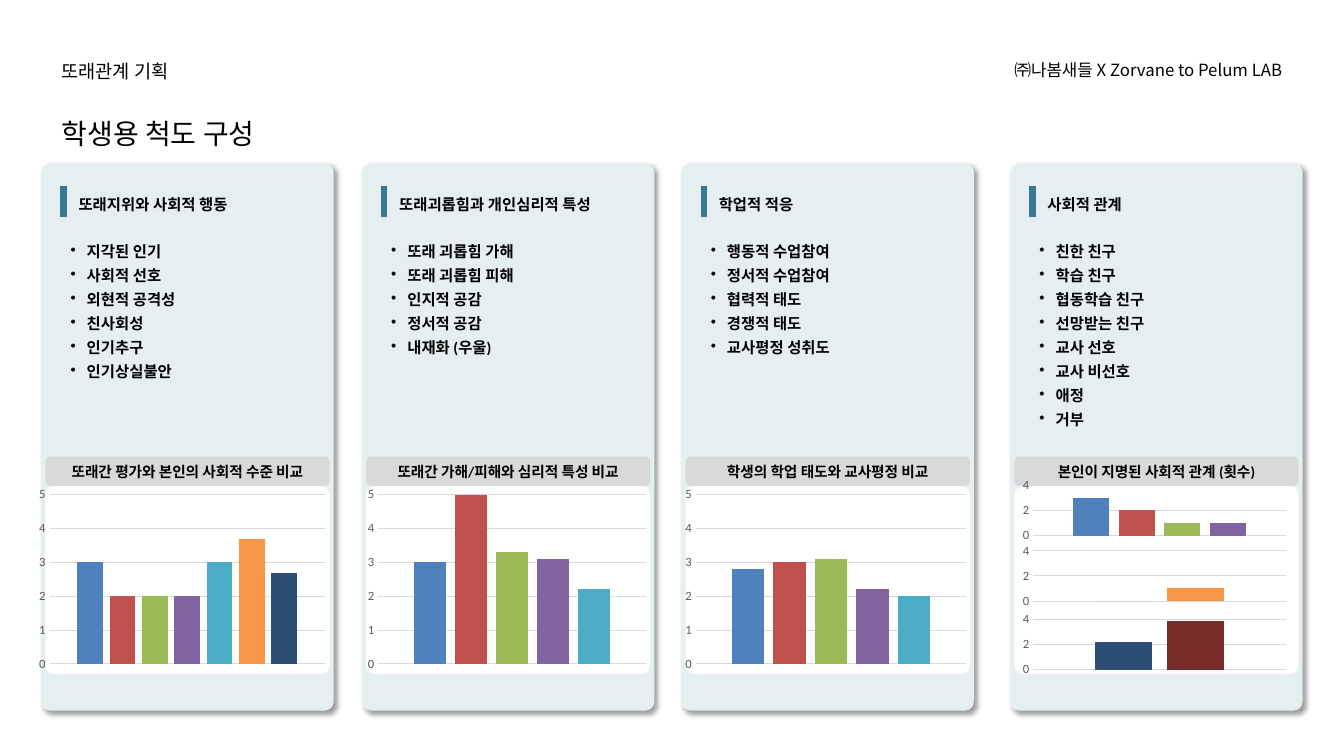
from dataclasses import dataclass
from typing import Optional

from lxml import etree
from pptx import Presentation
from pptx.chart.data import CategoryChartData
from pptx.dml.color import RGBColor
from pptx.enum.chart import XL_CHART_TYPE, XL_TICK_MARK
from pptx.enum.shapes import MSO_CONNECTOR, MSO_SHAPE
from pptx.enum.text import MSO_ANCHOR, MSO_AUTO_SIZE, PP_ALIGN
from pptx.oxml import parse_xml
from pptx.oxml.ns import nsdecls, qn
from pptx.util import Emu, Pt

PX = 9144  # 100 px to the inch
LATIN, KOREAN = "Calibri", "Noto Sans CJK KR"
COLORS = {
    "text": "000000", "card": "E5EEF1", "accent": "387895", "banner": "D9D9D9",
    "white": "FFFFFF", "grid": "D9D9D9", "axis": "595959",
    "blue": "4F81BD", "red": "C0504D", "green": "9BBB59", "purple": "8064A2",
    "teal": "4BACC6", "orange": "F79646", "navy": "2C4D75", "maroon": "772C2A",
}
PALETTE = ["blue", "red", "green", "purple", "teal", "orange", "navy", "maroon"]
SMALL_PLOT = {"x": 0.105, "y": 0.09, "w": 0.851, "h": 0.768}


@dataclass
class Box:
    x: int
    y: int
    w: int
    h: int

    def emu(self) -> list[Emu]:
        return [Emu(v * PX) for v in (self.x, self.y, self.w, self.h)]


@dataclass
class BarChart:
    box: Box
    values: list[float]
    first_color: int = 0
    plot: Optional[dict[str, float]] = None


@dataclass
class Card:
    x: int
    title: str
    items: list[str]
    banner: str
    charts: list[BarChart]


CARDS = [
    Card(41, "또래지위와 사회적 행동",
         ["지각된 인기", "사회적 선호", "외현적 공격성", "친사회성", "인기추구", "인기상실불안"],
         "또래간 평가와 본인의 사회적 수준 비교",
         [BarChart(Box(33, 470, 295, 200), [3, 2, 2, 2, 3, 3.7, 2.7])]),
    Card(359, "또래괴롭힘과 개인심리적 특성",
         ["또래 괴롭힘 가해", "또래 괴롭힘 피해", "인지적 공감", "정서적 공감", "내재화 (우울)"],
         "또래간 가해/피해와 심리적 특성 비교",
         [BarChart(Box(359, 470, 287, 200), [3, 5, 3.3, 3.1, 2.2])]),
    Card(676, "학업적 적응",
         ["행동적 수업참여", "정서적 수업참여", "협력적 태도", "경쟁적 태도", "교사평정 성취도"],
         "학생의 학업 태도와 교사평정 비교",
         [BarChart(Box(674, 470, 290, 200), [2.8, 3, 3.1, 2.2, 2])]),
    Card(1002, "사회적 관계",
         ["친한 친구", "학습 친구", "협동학습 친구", "선망받는 친구",
          "교사 선호", "교사 비선호", "애정", "거부"],
         "본인이 지명된 사회적 관계 (횟수)",
         [BarChart(Box(994, 455, 294, 89), [3, 2, 1, 1], 0, SMALL_PLOT),
          BarChart(Box(994, 520, 294, 89), [0, 1], 4, SMALL_PLOT),
          BarChart(Box(994, 588, 294, 89), [2.2, 3.9], 6, SMALL_PLOT)]),
]


def rgb(name: str) -> RGBColor:
    return RGBColor.from_string(COLORS[name])


def write(s, lines: list[str], size: float, bold: bool = False, font: str = LATIN,
          spacing: Optional[float] = None, align: PP_ALIGN = PP_ALIGN.LEFT) -> None:
    tf = s.text_frame
    tf.word_wrap = True
    tf.margin_left = tf.margin_right = tf.margin_top = tf.margin_bottom = 0
    tf.text = "\n".join(lines)
    for p in tf.paragraphs:
        p.alignment = align
        p.line_spacing = spacing
        for r in p.runs:
            r.font.size, r.font.bold, r.font.name = Pt(size), bold, font
            r.font.color.rgb = rgb("text")
            ea = etree.SubElement(r.font._element, qn("a:ea"))
            ea.set("typeface", KOREAN)


def add_text(slide, box: Box, lines: list[str], size: float, **style):
    s = slide.shapes.add_textbox(*box.emu())
    write(s, lines, size, **style)
    return s


def add_rounded(slide, box: Box, fill: Optional[str], radius: float):
    s = slide.shapes.add_shape(MSO_SHAPE.ROUNDED_RECTANGLE, *box.emu())
    s.adjustments[0] = radius
    s.shadow.inherit = False
    s.line.fill.background()
    if fill:
        s.fill.solid()
        s.fill.fore_color.rgb = rgb(fill)
    else:
        s.fill.background()
    return s


def cast_shadow(s) -> None:
    s._element.spPr.find(qn("a:effectLst")).append(parse_xml(
        f'<a:outerShdw {nsdecls("a")} blurRad="{Pt(4)}" dist="{Pt(3)}" dir="2700000" '
        f'algn="tl" rotWithShape="0"><a:srgbClr val="{COLORS["text"]}">'
        '<a:alpha val="40000"/></a:srgbClr></a:outerShdw>'))


def add_accent_bar(slide, x: int) -> None:
    s = slide.shapes.add_connector(
        MSO_CONNECTOR.STRAIGHT, *[Emu(v * PX) for v in (x, 215, x, 185)])
    s.line.color.rgb = rgb("accent")
    s.line.width = Pt(4.5)
    etree.SubElement(s._element.spPr, qn("a:effectLst"))


def add_bullets(s) -> None:
    for p in s.text_frame.paragraphs:
        pPr = p._p.get_or_add_pPr()
        pPr.set("marL", str(16 * PX))
        pPr.set("indent", str(-16 * PX))
        etree.SubElement(pPr, qn("a:buChar")).set("char", "•")


def place_plot(chart, plot: dict[str, float]) -> None:
    """Fix the inner plot area at fractions of the chart frame."""
    area = chart._chartSpace.find(".//" + qn("c:plotArea"))
    for old in area.findall(qn("c:layout")):
        area.remove(old)
    sizes = "".join(f'<c:{k} val="{v}"/>' for k, v in plot.items())
    area.insert(0, parse_xml(
        f'<c:layout {nsdecls("c")}><c:manualLayout><c:layoutTarget val="inner"/>'
        f'<c:xMode val="edge"/><c:yMode val="edge"/>{sizes}</c:manualLayout></c:layout>'))


def add_bar_chart(slide, spec: BarChart) -> None:
    data = CategoryChartData()
    data.categories = ["1"]
    for i, value in enumerate(spec.values, 1):
        data.add_series(f"Series {i}", [value])
    chart = slide.shapes.add_chart(
        XL_CHART_TYPE.COLUMN_CLUSTERED, *spec.box.emu(), data).chart
    chart.has_title = chart.has_legend = False
    chart.font.name, chart.font.size = LATIN, Pt(10)
    chart.font.color.rgb = rgb("text")
    chart._chartSpace.find(qn("c:chart")).addnext(parse_xml(
        f'<c:spPr {nsdecls("c", "a")}><a:noFill/><a:ln><a:noFill/></a:ln></c:spPr>'))
    chart.category_axis.visible = False
    axis = chart.value_axis
    axis.minimum_scale, axis.maximum_scale = 0, 5.5
    axis.major_tick_mark = axis.minor_tick_mark = XL_TICK_MARK.NONE
    axis.format.line.fill.background()
    axis.major_gridlines.format.line.color.rgb = rgb("grid")
    axis.major_gridlines.format.line.width = Pt(0.75)
    font = axis.tick_labels.font
    font.name, font.size = LATIN, Pt(9)
    font.color.rgb = rgb("axis")
    bars = chart.plots[0]
    bars.gap_width, bars.overlap, bars.vary_by_categories = 219, -27, False
    for series, color in zip(bars.series, PALETTE[spec.first_color:]):
        series.format.fill.solid()
        series.format.fill.fore_color.rgb = rgb(color)
    if spec.plot:
        place_plot(chart, spec.plot)


def add_card(slide, card: Card) -> None:
    x = card.x
    cast_shadow(add_rounded(slide, Box(x, 162, 290, 543), "card", 0.03))
    add_accent_bar(slide, x + 22)
    title = add_rounded(slide, Box(x + 36, 185, 231, 30), None, 0.1)
    write(title, [card.title], 11, bold=True, spacing=1.3)
    title.text_frame.vertical_anchor = MSO_ANCHOR.MIDDLE
    items = add_text(slide, Box(x + 29, 235, 195, 24 * len(card.items)), card.items, 11,
                     bold=True, spacing=1.3)
    items.text_frame.auto_size = MSO_AUTO_SIZE.SHAPE_TO_FIT_TEXT
    add_bullets(items)
    add_rounded(slide, Box(x + 4, 482, 282, 187), "white", 0.05)
    banner = add_rounded(slide, Box(x + 4, 453, 282, 29), "banner", 0.17)
    write(banner, [card.banner], 10.5, bold=True, align=PP_ALIGN.CENTER)
    banner.text_frame.vertical_anchor = MSO_ANCHOR.MIDDLE
    for spec in card.charts:
        add_bar_chart(slide, spec)


def main() -> None:
    prs = Presentation()
    prs.slide_width, prs.slide_height = Emu(1333 * PX), Emu(750 * PX)
    slide = prs.slides.add_slide(prs.slide_layouts[6])
    add_text(slide, Box(61, 56, 248, 26), ["또래관계 기획"], 13.3, font=KOREAN, spacing=1.16)
    add_text(slide, Box(1006, 56, 266, 26), ["㈜나봄새들 X Zorvane to Pelum LAB"], 12,
             font=KOREAN, spacing=1.16, align=PP_ALIGN.RIGHT)
    add_text(slide, Box(61, 110, 215, 43), ["학생용 척도 구성"], 20, spacing=1.16)
    for card in CARDS:
        add_card(slide, card)
    prs.save("out.pptx")


if __name__ == "__main__":
    main()
